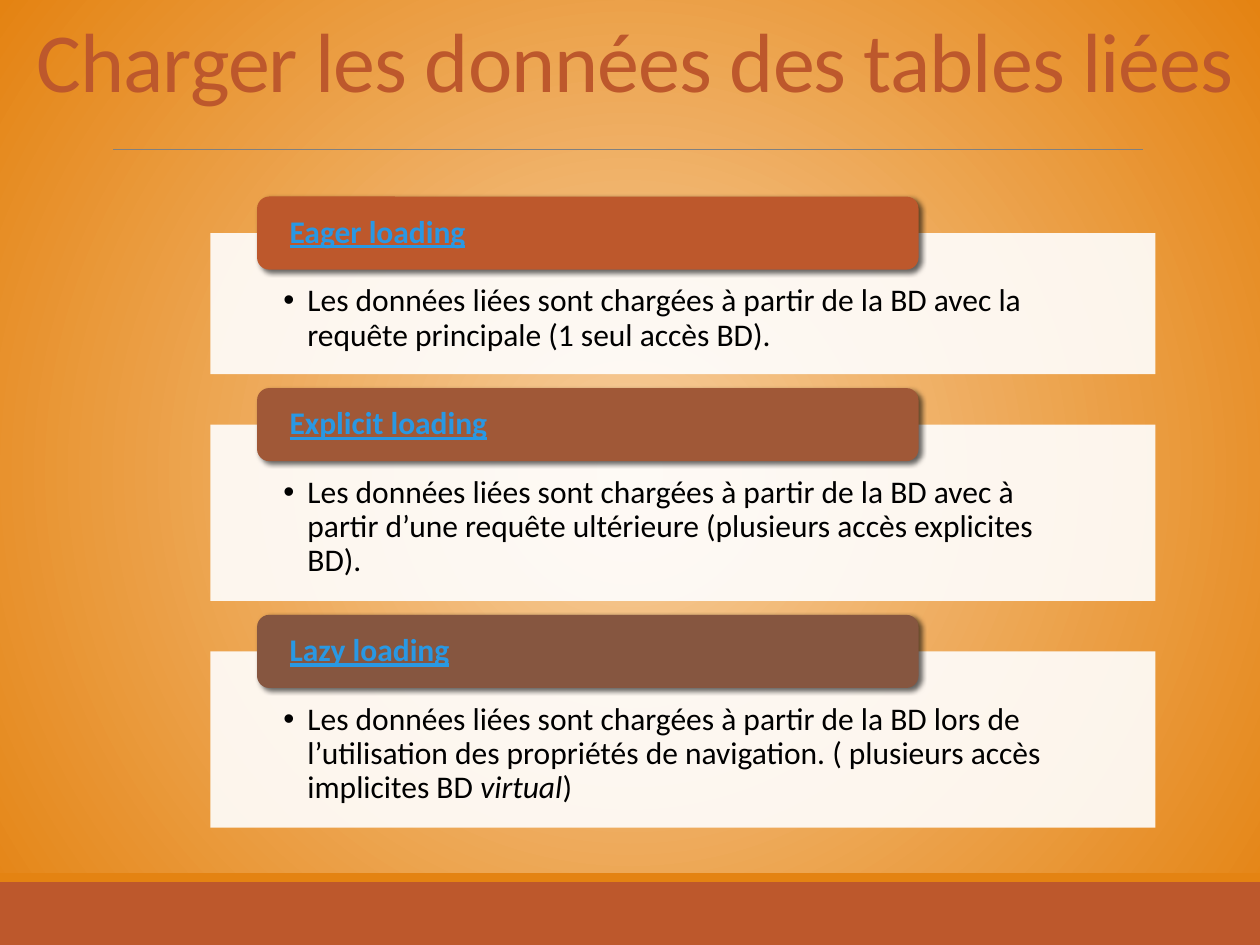
from dataclasses import dataclass

import lxml.etree
import pptx
import pptx.dml.color
import pptx.enum.shapes
import pptx.enum.text
import pptx.oxml.ns
import pptx.util

Inches = pptx.util.Inches
Pt = pptx.util.Pt
Shapes = pptx.enum.shapes.MSO_SHAPE
Anchor = pptx.enum.text.MSO_ANCHOR
Align = pptx.enum.text.PP_ALIGN
qn = pptx.oxml.ns.qn

COLOURS = {
    "glow": "F7CE9D",
    "orange": "E48312",
    "rust": "BD582C",
    "sienna": "A05837",
    "umber": "865640",
    "rule": "808080",
    "panel": "FFFFFF",
    "text": "000000",
    "link": "2998E3",
}

PANEL_LEFT, PANEL_WIDTH, FIRST_TOP, GAP = 1.67, 7.5, 1.85, 0.4
TAB_LEFT, TAB_WIDTH, TAB_HEIGHT, TAB_RISE = 2.04, 5.25, 0.58, 0.29


@dataclass
class Strategy:
    name: str
    colour: str
    height: float
    spans: list[tuple[str, bool]]  # text, italic


STRATEGIES = [
    Strategy("Eager loading", "rust", 1.12, [
        ("Les données liées sont chargées à partir de la BD avec la requête "
         "principale (1 seul accès BD).", False)]),
    Strategy("Explicit loading", "sienna", 1.4, [
        ("Les données liées sont chargées à partir de la BD avec à partir "
         "d’une requête ultérieure (plusieurs accès explicites BD).", False)]),
    Strategy("Lazy loading", "umber", 1.4, [
        ("Les données liées sont chargées à partir de la BD lors de "
         "l’utilisation des propriétés de navigation. ( plusieurs accès "
         "implicites BD ", False),
        ("virtual", True),
        (")", False)]),
]


def rgb(name: str) -> pptx.dml.color.RGBColor:
    return pptx.dml.color.RGBColor.from_string(COLOURS[name])


def add_element(parent, tag: str, **attributes):
    return lxml.etree.SubElement(parent, qn(tag), attributes)


def paint_background(page) -> None:
    fill = page.background.fill
    fill.gradient()
    for stop, name, position in zip(fill.gradient_stops, ("glow", "orange"), (0, 1)):
        stop.color.rgb = rgb(name)
        stop.position = position
    gradient = page.background._cSld.find(".//" + qn("a:gradFill"))
    linear = gradient.find(qn("a:lin"))
    radial = lxml.etree.Element(qn("a:path"), {"path": "circle"})
    add_element(radial, "a:fillToRect", l="50000", t="50000", r="50000", b="50000")
    gradient.replace(linear, radial)


def add_block(page, kind, left: float, top: float, width: float, height: float,
              colour: str):
    block = page.shapes.add_shape(
        kind, Inches(left), Inches(top), Inches(width), Inches(height))
    block.shadow.inherit = False
    block.fill.solid()
    block.fill.fore_color.rgb = rgb(colour)
    block.line.fill.background()
    return block


def set_frame(box, anchor, left: float, top: float, right: float, bottom: float):
    frame = box.text_frame
    frame.word_wrap = True
    frame.vertical_anchor = anchor
    frame.margin_left, frame.margin_right = Inches(left), Inches(right)
    frame.margin_top, frame.margin_bottom = Inches(top), Inches(bottom)
    return frame.paragraphs[0]


def add_span(para, text: str, size: float, colour: str):
    span = para.add_run()
    span.text = text
    span.font.name = "Calibri"
    span.font.size = Pt(size)
    span.font.color.rgb = rgb(colour)
    return span


def add_title(page, text: str) -> None:
    box = page.shapes.add_textbox(Inches(0.08), Inches(0.25), Inches(9.92), Inches(0.67))
    para = set_frame(box, Anchor.BOTTOM, 0.1, 0.05, 0.1, 0.05)
    para.alignment = Align.CENTER
    para.line_spacing = 0.85
    span = add_span(para, text, 48, "rust")
    span.font._element.set("spc", "-50")


def add_rule(page) -> None:
    rule = page.shapes.add_connector(
        pptx.enum.shapes.MSO_CONNECTOR.STRAIGHT,
        Inches(0.9), Inches(1.19), Inches(9.07), Inches(1.19))
    rule.line.color.rgb = rgb("rule")
    rule.line.width = Pt(0.5)
    add_element(rule._element.spPr, "a:effectLst")


def add_panel(page, strategy: Strategy, top: float) -> None:
    panel = add_block(page, Shapes.RECTANGLE, PANEL_LEFT, top, PANEL_WIDTH,
                      strategy.height, "panel")
    white = panel._element.spPr.find(qn("a:solidFill"))[0]
    add_element(white, "a:alpha", val="90000")
    para = set_frame(panel, Anchor.TOP, 0.58, 0.41, 0.58, 0.14)
    para.alignment = Align.LEFT
    para.level = 1
    para.line_spacing = 0.9
    properties = para._p.get_or_add_pPr()
    properties.set("marL", str(Inches(0.19)))
    properties.set("indent", str(-Inches(0.19)))
    bullet_colour = add_element(properties, "a:buClr")
    add_element(bullet_colour, "a:srgbClr", val=COLOURS["text"])
    add_element(properties, "a:buFont", typeface="Arial")
    add_element(properties, "a:buChar", char="•")
    for text, italic in strategy.spans:
        add_span(para, text, 18, "text").font.italic = italic


def add_tab(page, strategy: Strategy, top: float) -> None:
    tab = add_block(page, Shapes.ROUNDED_RECTANGLE, TAB_LEFT, top, TAB_WIDTH,
                    TAB_HEIGHT, strategy.colour)
    effects = tab._element.spPr.find(qn("a:effectLst"))
    shadow = add_element(effects, "a:outerShdw", blurRad=str(Pt(3)),
                         dist=str(Pt(2)), dir="2700000", rotWithShape="0")
    black = add_element(shadow, "a:srgbClr", val=COLOURS["text"])
    add_element(black, "a:alpha", val="60000")
    para = set_frame(tab, Anchor.MIDDLE, 0.23, 0, 0.23, 0)
    para.alignment = Align.LEFT
    para.line_spacing = 0.9
    span = add_span(para, strategy.name, 18, "link")
    span.font.bold = True
    span.font.underline = True


def main() -> None:
    deck = pptx.Presentation()
    deck.slide_width, deck.slide_height = Inches(10), Inches(7.5)
    page = deck.slides.add_slide(deck.slide_layouts[6])

    # Background, footer bands and header
    paint_background(page)
    add_block(page, Shapes.RECTANGLE, 0, 7, 10, 0.5, "rust")
    add_block(page, Shapes.RECTANGLE, 0, 6.93, 10, 0.07, "orange")
    add_rule(page)
    add_title(page, "Charger les données des tables liées")

    # Loading strategies, stacked with equal gaps
    top = FIRST_TOP
    for strategy in STRATEGIES:
        add_panel(page, strategy, top)
        add_tab(page, strategy, top - TAB_RISE)
        top += strategy.height + GAP

    deck.save("out.pptx")


if __name__ == "__main__":
    main()
